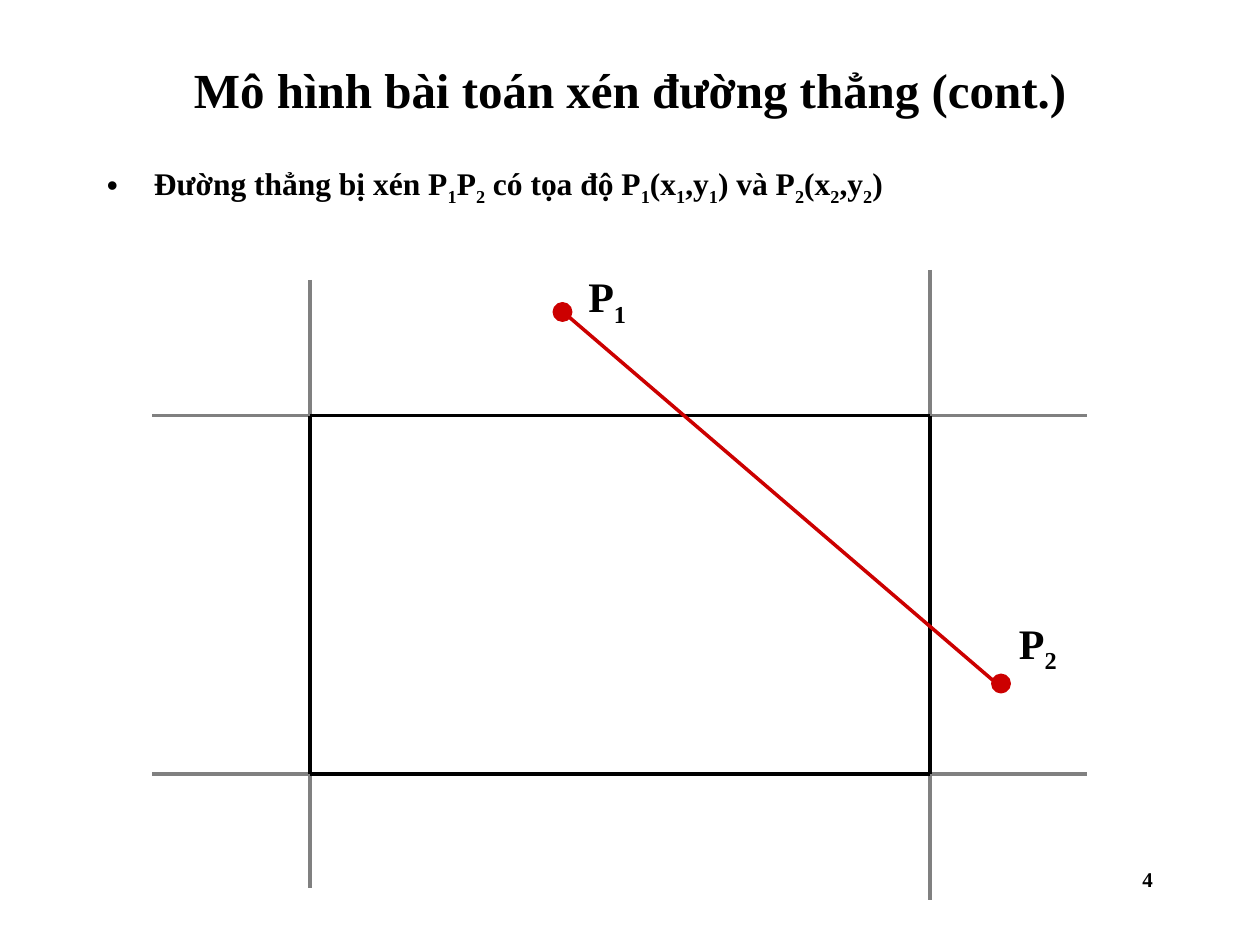
from lxml import etree
from pptx import Presentation
from pptx.dml.color import RGBColor
from pptx.enum.shapes import MSO_CONNECTOR, MSO_SHAPE
from pptx.enum.text import MSO_ANCHOR, MSO_AUTO_SIZE, PP_ALIGN
from pptx.oxml.ns import qn
from pptx.util import Cm, Pt

LEFT, CENTER, RIGHT = PP_ALIGN.LEFT, PP_ALIGN.CENTER, PP_ALIGN.RIGHT
TOP, MIDDLE = MSO_ANCHOR.TOP, MSO_ANCHOR.MIDDLE
BLACK, GREY, RED = "000000", "808080", "CC0000"

# An underscore marks the next character as a subscript.
TITLE = "Mô hình bài toán xén đường thẳng (cont.)"
BODY = "Đường thẳng bị xén P_1P_2 có tọa độ P_1(x_1,y_1) và P_2(x_2,y_2)"
PAGE = "4"

# All lengths are in centimetres.
X1, X2, Y1, Y2 = 6.25, 18.75, 8.38, 15.6
GUIDES = [
    (X1, 5.64, X1, 17.91),
    (X2, 5.44, X2, 18.14),
    (3.07, Y1, 21.92, Y1),
    (3.07, Y2, 21.92, Y2),
]
WINDOW = [
    (X1, Y1, X1, Y2),
    (X1, Y1, X2, Y1),
    (X1, Y2, X2, Y2),
    (X2, Y1, X2, Y2),
]
SEGMENT = (11.33, 6.27, 20.22, 13.89)
DOT = 0.33
POINTS = [  # label, dot centre, label corner
    ("P_1", (11.34, 6.29), (11.61, 5.33)),
    ("P_2", (20.18, 13.78), (20.29, 12.32)),
]


def color(code):
    return RGBColor.from_string(code)


def place(shape, *box):
    for name, value in zip(("left", "top", "width", "height"), box):
        setattr(shape, name, Cm(value))


def write(shape, text, size, align=LEFT, before=0, anchor=TOP):
    frame = shape.text_frame
    frame.word_wrap = True
    frame.auto_size = MSO_AUTO_SIZE.NONE
    frame.vertical_anchor = anchor
    para = frame.paragraphs[0]
    para.alignment = align
    para.space_before = Pt(before)
    style = {"name": "Times New Roman", "size": Pt(size), "bold": True}

    def add(part, sub=False):
        if not part:
            return
        run = para.add_run()
        run.text = part
        for key, value in style.items():
            setattr(run.font, key, value)
        run.font.color.rgb = color(BLACK)
        if sub:
            run.font._element.set("baseline", "-25000")

    first, *rest = text.split("_")
    add(first)
    for part in rest:
        add(part[0], sub=True)
        add(part[1:])
    return para


def draw(shapes, ends, code):
    line = shapes.add_connector(MSO_CONNECTOR.STRAIGHT, *map(Cm, ends))
    line.line.color.rgb = color(code)
    line.line.width = Pt(2)
    etree.SubElement(line._element.spPr, qn("a:effectLst"))


def bullet(para):
    props = para._p.get_or_add_pPr()
    props.set("marL", str(Cm(0.95)))
    props.set("indent", str(-Cm(0.95)))
    etree.SubElement(props, qn("a:buChar")).set("char", "•")


def main():
    deck = Presentation()
    deck.slide_width, deck.slide_height = Cm(25.4), Cm(19.05)
    slide = deck.slides.add_slide(deck.slide_layouts[1])
    shapes = slide.shapes

    title, body = slide.placeholders
    place(title, 1.9, 0.84, 21.6, 1.9)
    write(title, TITLE, 28, CENTER, anchor=MIDDLE)
    place(body, 1.9, 3.18, 20.1, 13.77)
    bullet(write(body, BODY, 18, before=4.5))

    grid = shapes.add_group_shape().shapes
    for lines, code in ((GUIDES, GREY), (WINDOW, BLACK)):
        for ends in lines:
            draw(grid, ends, code)
    draw(shapes, SEGMENT, RED)

    for label, (x, y), corner in POINTS:
        box = (x - DOT / 2, y - DOT / 2, DOT, DOT)
        dot = shapes.add_shape(MSO_SHAPE.OVAL, *map(Cm, box))
        dot.shadow.inherit = False
        dot.fill.solid()
        dot.fill.fore_color.rgb = dot.line.color.rgb = color(RED)
        dot.line.width = Pt(2)
        text = shapes.add_textbox(*map(Cm, (*corner, 2.59, 1.42)))
        write(text, label, 24, before=15)

    page = shapes.add_textbox(*map(Cm, (18.21, 17.35, 5.28, 1.27)))
    write(page, PAGE, 12, RIGHT)
    deck.save("out.pptx")


if __name__ == "__main__":
    main()
